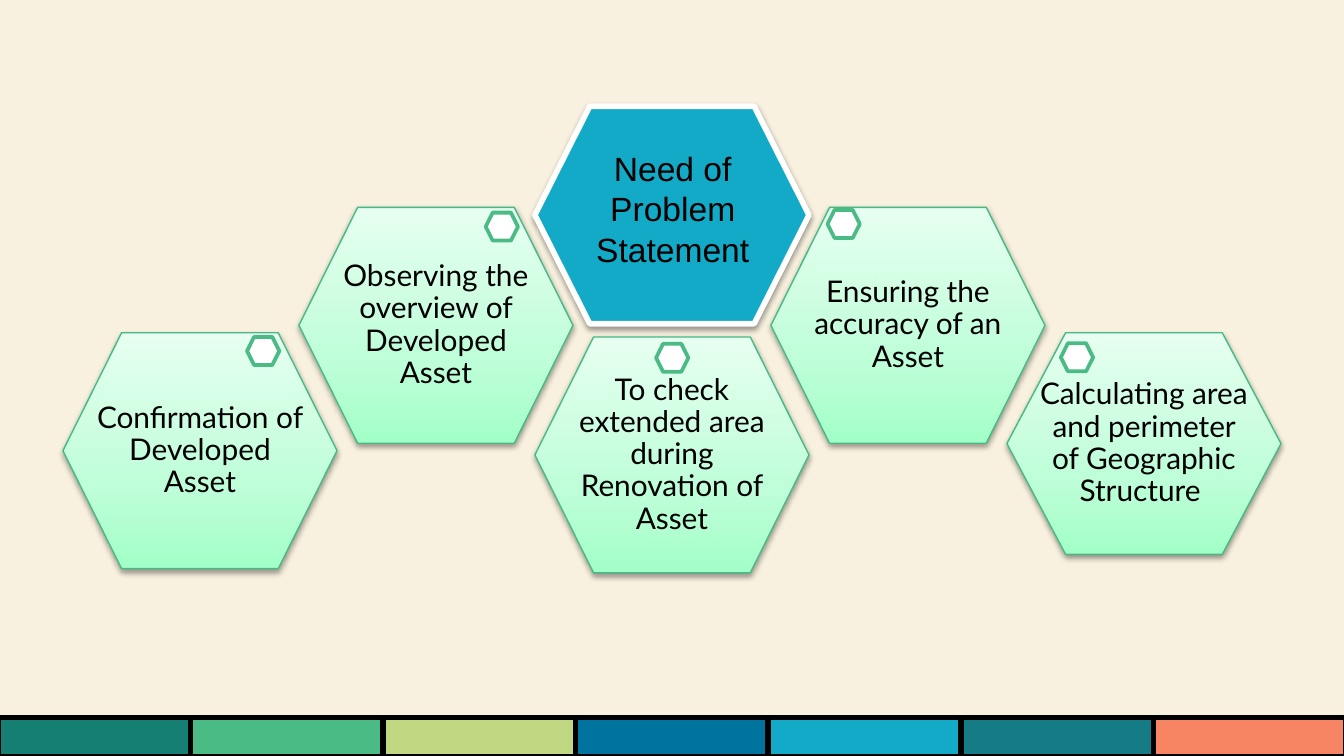
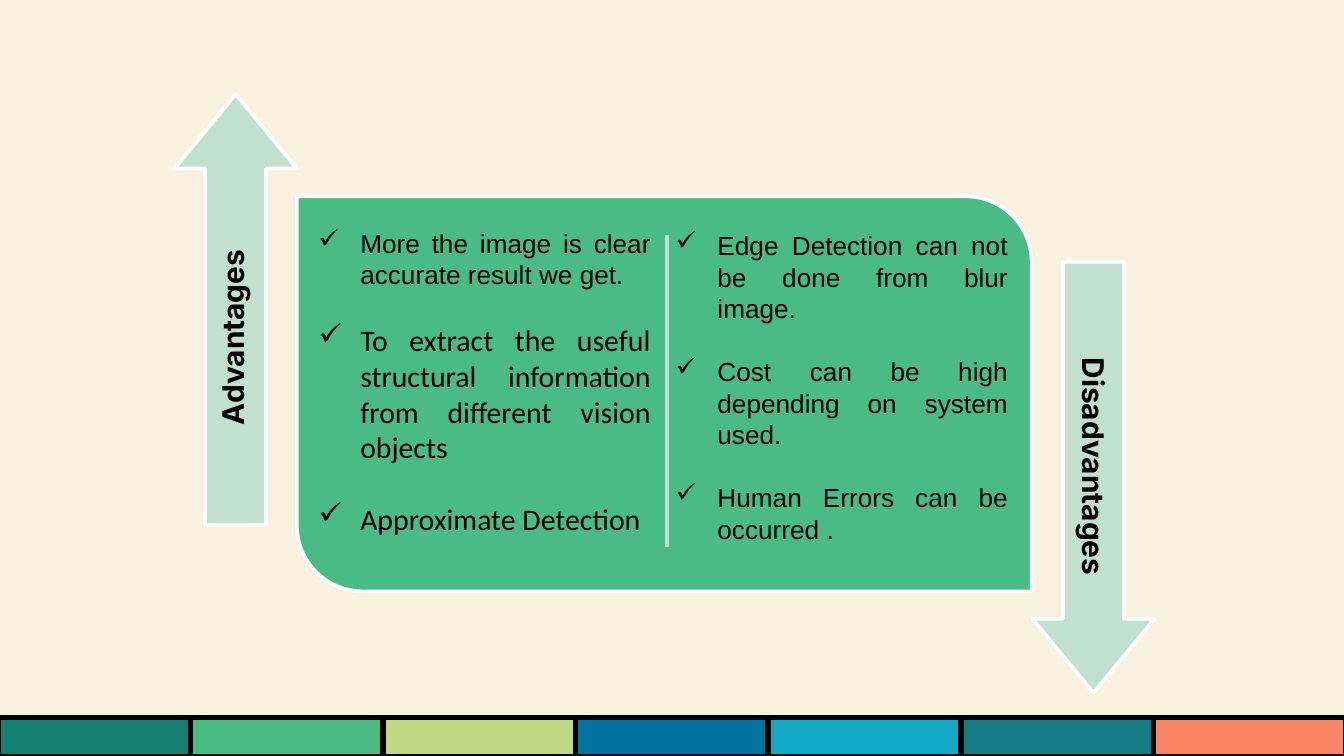
from lxml import etree
from pptx import Presentation
from pptx.dml.color import RGBColor
from pptx.enum.shapes import MSO_CONNECTOR, MSO_SHAPE
from pptx.enum.text import MSO_ANCHOR, MSO_AUTO_SIZE, PP_ALIGN
from pptx.oxml.ns import qn
from pptx.util import Cm, Pt

RECTANGLE = MSO_SHAPE.RECTANGLE
HEXAGON = MSO_SHAPE.HEXAGON
PREPARATION = MSO_SHAPE.FLOWCHART_PREPARATION
DIAGONAL_ROUND = MSO_SHAPE.ROUND_2_DIAG_RECTANGLE
RIGHT_ARROW = MSO_SHAPE.RIGHT_ARROW
STRAIGHT = MSO_CONNECTOR.STRAIGHT
MIDDLE = MSO_ANCHOR.MIDDLE
GROW = MSO_AUTO_SIZE.SHAPE_TO_FIT_TEXT
CENTER = PP_ALIGN.CENTER
JUSTIFY = PP_ALIGN.JUSTIFY

CREAM, BLACK, WHITE = "F8F1DF", "000000", "FFFFFF"
GREEN, SKY, MINT, EDGE = "4ABB85", "13AAC7", "C1E0CE", "46BA82"
BAND = ["157F73", GREEN, "C0D882", "01739F", SKY, "157C85", "F78563"]
GRADIENT = [(0, "A3FFC8"), (35, "BEFED8"), (100, "E6FFF0")]

CELL_WIDTH, CELL_HEIGHT, CELL_CORNER, CELL_STEP = 5.18, 4.46, 1.11, 4.46
NEEDS = [
    ("Confirmation of Developed Asset", 6.29, CELL_HEIGHT, (3.48, 0.08)),
    ("Observing the overview of Developed Asset", 3.92, CELL_HEIGHT, (3.53, 0.1)),
    ("To check extended area during Renovation of Asset", 6.37, CELL_HEIGHT, (2.29, 0.13)),
    ("Ensuring the accuracy of an Asset", 3.92, CELL_HEIGHT, (1.07, 0.05)),
    ("Calculating area and perimeter of Geographic Structure ", 6.29, 4.19, (1.02, 0.2)),
]
ADVANTAGES = [
    ("More the image is clear accurate result we get.", "Arial", 14),
    ("To extract the useful structural information from different vision objects ", "Calibri", 16),
    ("Approximate Detection", "Calibri", 16),
]
DISADVANTAGES = [
    ("Edge Detection can not be done from blur image.", "Arial", 14),
    ("Cost can be high depending on system used.", "Arial", 14),
    ("Human Errors can be occurred .", "Arial", 14),
]


def rgb(code):
    """Turn a hex string into a colour."""
    return RGBColor.from_string(code)


def style_line(line, color, width):
    """Give an outline its colour and width in points."""
    line.color.rgb = rgb(color)
    line.width = Pt(width)


def add_preset(slide, preset, box, fill, line, width, adjust=(), rotation=0):
    """Add a flat preset shape at a box in centimetres."""
    shape = slide.shapes.add_shape(preset, *map(Cm, box))
    shape.shadow.inherit = False
    shape.fill.solid()
    shape.fill.fore_color.rgb = rgb(fill)
    style_line(shape.line, line, width)
    for index, value in enumerate(adjust):
        shape.adjustments[index] = value
    shape.rotation = rotation
    return shape


def cast_shadow(shape):
    """Give a shape a soft shadow below it."""
    shape.shadow.inherit = False
    effects = shape._element.spPr.find(qn("a:effectLst"))
    shadow = etree.SubElement(effects, qn("a:outerShdw"), blurRad="40000",
                              dist="20000", dir="5400000", rotWithShape="0")
    color = etree.SubElement(shadow, qn("a:srgbClr"), val=BLACK)
    etree.SubElement(color, qn("a:alpha"), val="38000")


def fill_gradient(shape):
    """Fill a shape with the green gradient, darkest at the bottom."""
    shape.fill.gradient()
    shape.fill.gradient_angle = 90
    stops = next(shape._element.spPr.iter(qn("a:gsLst")))
    for stop in list(stops):
        stops.remove(stop)
    for percent, code in GRADIENT:
        stop = etree.SubElement(stops, qn("a:gs"), pos=str(percent * 1000))
        etree.SubElement(stop, qn("a:srgbClr"), val=code)


def add_run(paragraph, text, font, size, bold=False):
    """Add one black run to a paragraph."""
    run = paragraph.add_run()
    run.text = text
    run.font.name = font
    run.font.size = Pt(size)
    run.font.bold = bold
    run.font.color.rgb = rgb(BLACK)


def set_margins(frame, across, down):
    """Set the side and the top and bottom margins of a text frame."""
    frame.margin_left = frame.margin_right = Cm(across)
    frame.margin_top = frame.margin_bottom = Cm(down)


def add_textbox(slide, box):
    """Add a wrapping text box at a box in centimetres."""
    holder = slide.shapes.add_textbox(*map(Cm, box))
    holder.text_frame.word_wrap = True
    return holder


def draw_band(slide, left, top, width, height):
    """Draw the row of coloured blocks along the bottom."""
    for index, color in enumerate(BAND):
        add_preset(slide, RECTANGLE, (left + index * width, top, width, height),
                   color, BLACK, 3)


def draw_need(slide, left, top, height, text, marker):
    """Draw one gradient cell with its text and its small marker."""
    right, middle, bottom = left + CELL_WIDTH, top + height / 2, top + height
    inner_left, inner_right = left + CELL_CORNER, right - CELL_CORNER
    corners = [(inner_left, top), (inner_right, top), (right, middle),
               (inner_right, bottom), (inner_left, bottom)]
    builder = slide.shapes.build_freeform(Cm(left), Cm(middle))
    builder.add_line_segments([(Cm(x), Cm(y)) for x, y in corners])
    cell = builder.convert_to_shape()
    fill_gradient(cell)
    style_line(cell.line, EDGE, 0.75)
    cast_shadow(cell)
    frame = cell.text_frame
    frame.word_wrap = True
    frame.vertical_anchor = MIDDLE
    set_margins(frame, 0.58, 0.53)
    paragraph = frame.paragraphs[0]
    paragraph.alignment = CENTER
    paragraph.line_spacing = 0.9
    add_run(paragraph, text, "Lato", 16)
    add_preset(slide, HEXAGON, (left + marker[0], top + marker[1], 0.61, 0.53),
               WHITE, GREEN, 2)


def draw_topic(slide, left, top, width, height):
    """Draw the blue central cell with the topic."""
    topic = add_preset(slide, PREPARATION, (left, top, width, height), SKY, WHITE, 3)
    cast_shadow(topic)
    caption = add_textbox(slide, (left + 0.61, top + 0.66, 3.99, 3.18))
    caption.text_frame.auto_size = GROW
    paragraph = caption.text_frame.paragraphs[0]
    paragraph.alignment = CENTER
    add_run(paragraph, "Need of Problem Statement", "Arial", 18)


def draw_points(slide, box, points):
    """Write a column of justified, ticked points."""
    frame = add_textbox(slide, box).text_frame
    frame.auto_size = GROW
    for index, (text, font, size) in enumerate(points):
        paragraph = frame.add_paragraph() if index else frame.paragraphs[0]
        paragraph.alignment = JUSTIFY
        if index < len(points) - 1:
            paragraph.space_after = Pt(round(1.2 * size))
        properties = paragraph._p.get_or_add_pPr()
        properties.set("marL", str(Cm(0.79)))
        properties.set("indent", str(-Cm(0.79)))
        tick_color = etree.SubElement(properties, qn("a:buClr"))
        etree.SubElement(tick_color, qn("a:srgbClr"), val=BLACK)
        etree.SubElement(properties, qn("a:buChar"), char="✓")
        add_run(paragraph, text, font, size)


def draw_panel(slide, left, top, width, height):
    """Draw the green panel with its divider and two columns."""
    add_preset(slide, DIAGONAL_ROUND, (left, top, width, height), GREEN, WHITE, 2,
               (0, 0.167))
    middle = Cm(left + 6.99)
    divider = slide.shapes.add_connector(STRAIGHT, middle, Cm(top + 0.74),
                                         middle, Cm(top + 6.63))
    style_line(divider.line, MINT, 2)
    etree.SubElement(divider._element.spPr, qn("a:effectLst"))
    draw_points(slide, (left + 0.16, top + 0.46, 6.78, 9.14), ADVANTAGES)
    draw_points(slide, (left + 6.91, top + 0.51, 6.78, 6.25), DISADVANTAGES)


def draw_arrow(slide, left, top, rotation, text, label_offset, label_width):
    """Draw a turned arrow and the label that runs along it."""
    add_preset(slide, RIGHT_ARROW, (left, top, 8.15, 2.31), MINT, WHITE, 2,
               (0.498, 0.607), rotation)
    label = add_textbox(slide, (left + label_offset[0], top + label_offset[1],
                                label_width, 1.12))
    label.rotation = rotation
    set_margins(label.text_frame, 0.25, 0.25)
    paragraph = label.text_frame.paragraphs[0]
    paragraph.alignment = CENTER
    add_run(paragraph, text, "Inter", 16, bold=True)


def new_slide(deck):
    """Add a blank slide with the bottom band."""
    slide = deck.slides.add_slide(deck.slide_layouts[6])
    draw_band(slide, -0.04, 13.56, 3.64, 0.74)
    return slide


def build_needs(deck):
    """Build the slide of needs around the topic."""
    slide = new_slide(deck)
    for index, (text, top, height, marker) in enumerate(NEEDS):
        draw_need(slide, 1.19 + index * CELL_STEP, top, height, text, marker)
    draw_topic(slide, 10.11, 2.01, CELL_WIDTH, 4.11)


def build_comparison(deck):
    """Build the slide of advantages and disadvantages."""
    slide = new_slide(deck)
    draw_panel(slide, 5.61, 3.71, 13.89, 7.47)
    draw_arrow(slide, 0.38, 4.7, 270, "Advantages", (-0.94, 1.12), 9.86)
    draw_arrow(slide, 16.59, 7.87, 90, "Disadvantages", (1.7, 0.39), 4.85)


def main():
    """Build and save the presentation."""
    deck = Presentation()
    deck.slide_width, deck.slide_height = Cm(25.4), Cm(14.29)
    background = deck.slide_master.background.fill
    background.solid()
    background.fore_color.rgb = rgb(CREAM)
    build_needs(deck)
    build_comparison(deck)
    deck.save("out.pptx")


if __name__ == "__main__":
    main()
